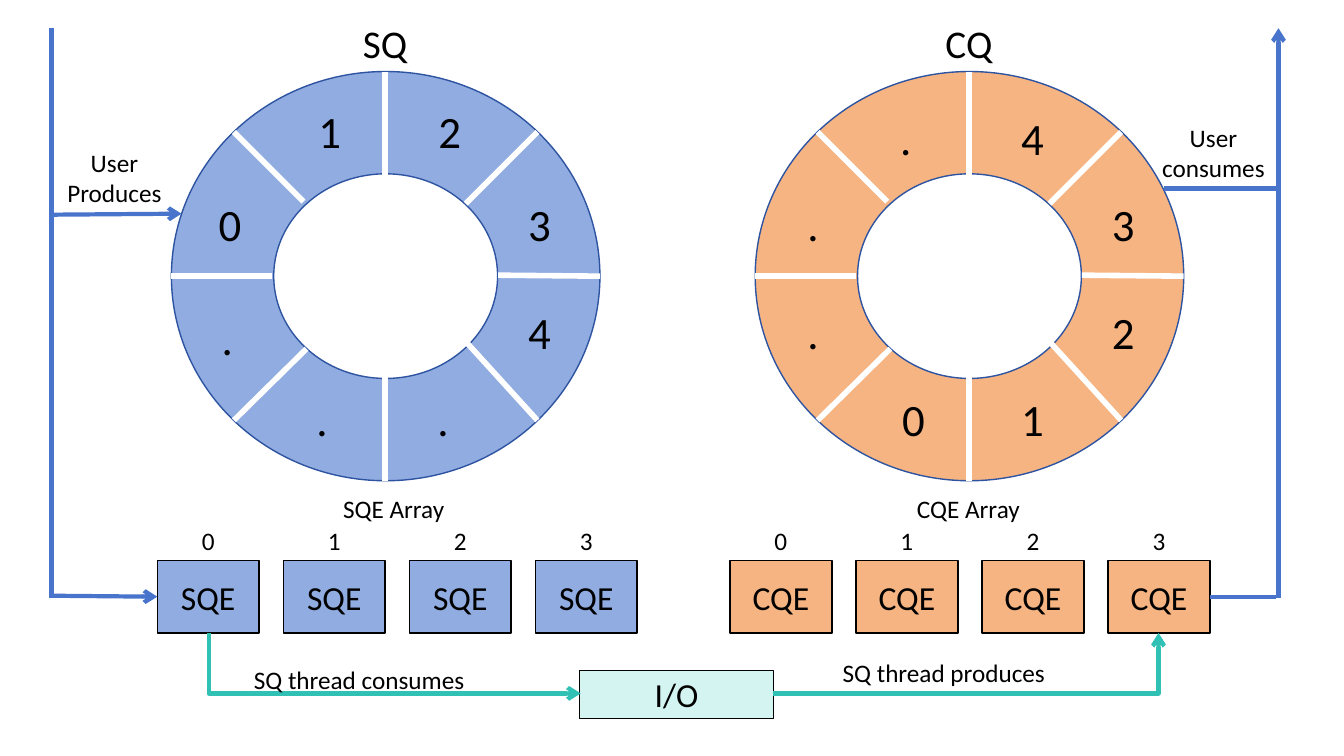
import pptx
import pptx.dml.color
import pptx.enum.shapes
import pptx.enum.text
import pptx.oxml
import pptx.oxml.ns
import pptx.util

PX = 9144  # EMU per px, 100 px to the inch
FONT = "Calibri"
COLORS = {
    "submission": "91ACE0",
    "completion": "F5B482",
    "io": "D4F4F2",
    "ring_line": "2E54A1",
    "user": "4874CB",
    "thread": "30C0B4",
    "black": "000000",
    "white": "FFFFFF",
}
SHAPE = pptx.enum.shapes.MSO_SHAPE
CONNECTOR = pptx.enum.shapes.MSO_CONNECTOR
ALIGN = pptx.enum.text.PP_ALIGN
ANCHOR = pptx.enum.text.MSO_ANCHOR

RING_TOP = 71
RING_WIDTH = 425
RING_HEIGHT = 406
CELL_TOP = 556
CELL_WIDTH = 101
CELL_HEIGHT = 72
CELL_STEP = 125

# Divider ends, measured from the left edge of a ring
DIVIDERS = [
    (212, 71, 212, 176), (363, 131, 292, 202),
    (425, 274, 324, 273), (363, 417, 293, 340),
    (212, 477, 212, 374), (62, 417, 134, 346),
    (0, 274, 100, 274), (62, 131, 131, 200),
]
# Slot labels, measured the same way
SUBMISSION_SLOTS = [
    ("0", 37, 190), ("1", 136, 98), ("2", 255, 98), ("3", 344, 190),
    ("4", 344, 297), (".", 251, 384), (".", 131, 384), (".", 37, 303),
]
COMPLETION_SLOTS = [
    ("0", 136, 384), ("1", 254, 384), ("2", 344, 297), ("3", 344, 190),
    ("4", 254, 105), (".", 131, 105), (".", 39, 190), (".", 39, 297),
]


def px(value):
    return pptx.util.Emu(value * PX)


def rgb(name):
    return pptx.dml.color.RGBColor.from_string(COLORS[name])


def write(shape, text, size=18, align=ALIGN.CENTER, anchor=ANCHOR.TOP):
    frame = shape.text_frame
    frame.word_wrap = True
    frame.vertical_anchor = anchor
    frame.text = text
    for paragraph in frame.paragraphs:
        paragraph.alignment = align
        paragraph.font.size = pptx.util.Pt(size)
        paragraph.font.name = FONT
        paragraph.font.color.rgb = rgb("black")


def add_label(slide, text, left, top, width, height, **text_format):
    box = slide.shapes.add_textbox(px(left), px(top), px(width), px(height))
    write(box, text, **text_format)
    box.text_frame.auto_size = pptx.enum.text.MSO_AUTO_SIZE.SHAPE_TO_FIT_TEXT


def add_shape(slide, kind, left, top, width, height, fill, line="black"):
    shape = slide.shapes.add_shape(kind, px(left), px(top), px(width), px(height))
    shape.shadow.inherit = False
    shape.fill.solid()
    shape.fill.fore_color.rgb = rgb(fill)
    shape.line.color.rgb = rgb(line)
    shape.line.width = pptx.util.Pt(1)
    return shape


def add_box(slide, text, left, top, width, height, fill):
    box = add_shape(slide, SHAPE.FLOWCHART_PROCESS, left, top, width, height, fill)
    write(box, text, size=24, anchor=ANCHOR.MIDDLE)


def add_line(slide, points, color, width=3, arrow=None, bent=False):
    """Draw a line; a bent one runs horizontally first, then vertically."""
    kind = CONNECTOR.ELBOW if bent else CONNECTOR.STRAIGHT
    line = slide.shapes.add_connector(kind, *[px(value) for value in points])
    line.line.color.rgb = rgb(color)
    line.line.width = pptx.util.Pt(width)
    properties = line._element.spPr
    if bent:
        properties.find(pptx.oxml.ns.qn("a:prstGeom")).set("prst", "bentConnector2")
    if arrow:
        namespace = pptx.oxml.ns.nsdecls("a")
        end = pptx.oxml.parse_xml(f'<a:{arrow} {namespace} type="arrow"/>')
        properties.find(pptx.oxml.ns.qn("a:ln")).append(end)
    properties.append(pptx.oxml.parse_xml(
        f'<a:effectLst {pptx.oxml.ns.nsdecls("a")}/>'))


def add_ring(slide, title, left, fill, slots):
    add_shape(slide, SHAPE.DONUT, left, RING_TOP, RING_WIDTH, RING_HEIGHT,
              fill, line="ring_line")
    for x1, y1, x2, y2 in DIVIDERS:
        add_line(slide, (left + x1, y1, left + x2, y2), "white", width=4)
    add_label(slide, title, left + 173, 14, 78, 57, size=28)
    for text, x, y in slots:
        add_label(slide, text, left + x, y, 37, 64, size=32)


def add_array(slide, entry, left, title_left, fill):
    add_label(slide, f"{entry} Array", title_left, 484, 155, 40)
    for index in range(4):
        cell_left = left + index * CELL_STEP
        add_box(slide, entry, cell_left, CELL_TOP, CELL_WIDTH, CELL_HEIGHT, fill)
        add_label(slide, str(index), cell_left + 32, 516, 37, 40)


def main():
    presentation = pptx.Presentation()
    presentation.slide_width = px(1333)
    presentation.slide_height = px(750)
    slide = presentation.slides.add_slide(presentation.slide_layouts[6])

    # Rings and entry arrays
    add_ring(slide, "SQ", 170, "submission", SUBMISSION_SLOTS)
    add_ring(slide, "CQ", 749, "completion", COMPLETION_SLOTS)
    add_array(slide, "SQE", 156, 313, "submission")
    add_array(slide, "CQE", 724, 883, "completion")

    # User side: producing on the left, consuming on the right
    add_line(slide, (51, 28, 51, 593), "user")
    add_line(slide, (180, 212, 51, 213), "user", arrow="headEnd")
    add_line(slide, (156, 592, 50, 591), "user", arrow="headEnd")
    add_label(slide, "User\nProduces", 51, 141, 125, 71)
    add_line(slide, (1268, 28, 1268, 593), "user", arrow="headEnd")
    add_line(slide, (1200, 592, 1266, 592), "user")
    add_line(slide, (1154, 187, 1266, 187), "user")
    add_label(slide, "User\nconsumes", 1141, 116, 125, 71)

    # Kernel thread and I/O
    add_box(slide, "I/O", 575, 665, 192, 48, "io")
    add_line(slide, (576, 688, 207, 628), "thread", arrow="headEnd", bent=True)
    add_line(slide, (767, 688, 1149, 628), "thread", arrow="tailEnd", bent=True)
    add_label(slide, "SQ thread consumes", 242, 654, 236, 40, align=ALIGN.LEFT)
    add_label(slide, "SQ thread produces", 826, 647, 236, 40, align=ALIGN.LEFT)

    presentation.save("out.pptx")


if __name__ == "__main__":
    main()
